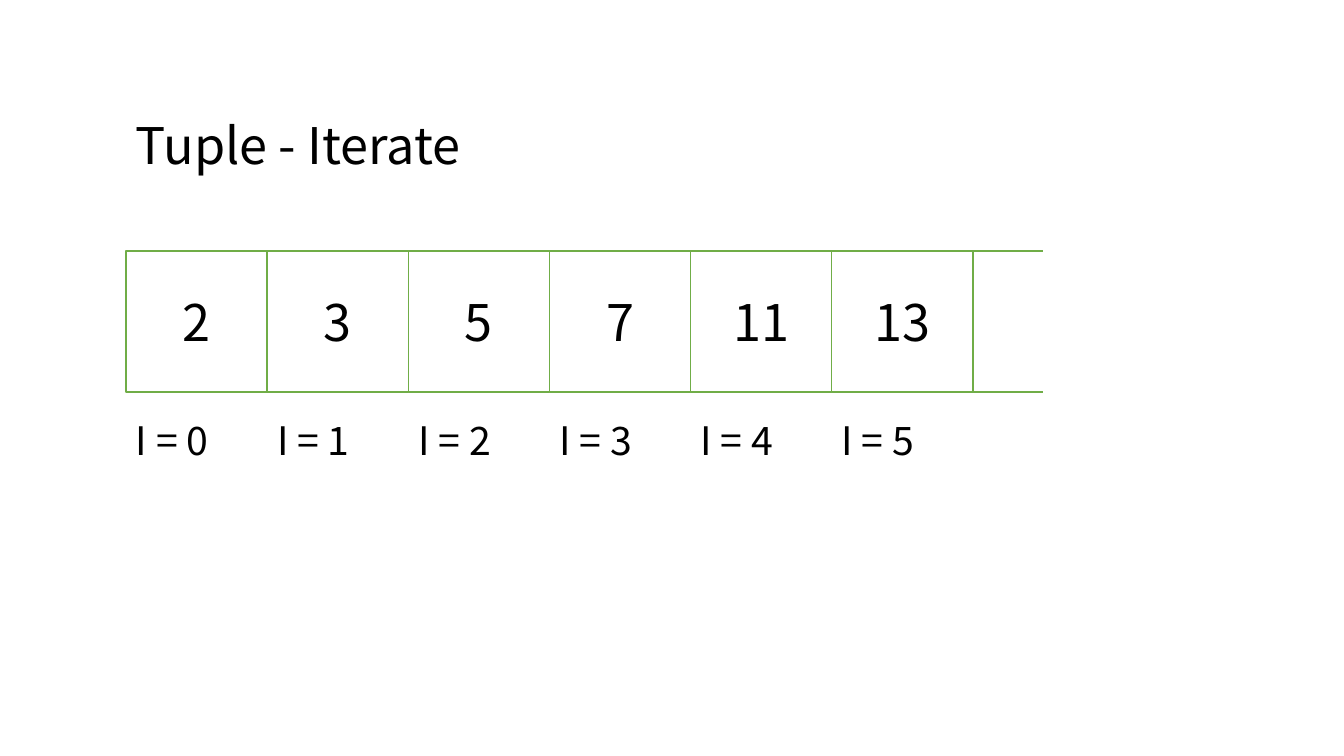
import pptx
import pptx.util
import pptx.dml.color
import pptx.enum.shapes
import pptx.enum.text
from dataclasses import dataclass

Inches = pptx.util.Inches
Align = pptx.enum.text.PP_ALIGN
Anchor = pptx.enum.text.MSO_ANCHOR


@dataclass(frozen=True)
class Theme:
    font: str = "Noto Sans CJK JP"
    ink: str = "000000"
    paper: str = "FFFFFF"
    border: str = "70AD47"
    large: int = 36
    small: int = 28
    line: int = 1


THEME = Theme()
VALUES = [2, 3, 5, 7, 11, 13]

# Grid: square cells in one row
CELL = 1.4
LEFT = 1.25
ROW_TOP = 2.49
INDEX_TOP = 4.08
LARGE_HEIGHT = 0.71
SMALL_HEIGHT = 0.57


def color(code):
    return pptx.dml.color.RGBColor.from_string(code)


def column(number):
    return LEFT + number * CELL


def add_box(page, left, top, width, height, border):
    box = page.shapes.add_shape(
        pptx.enum.shapes.MSO_SHAPE.RECTANGLE,
        *map(Inches, (left, top, width, height)))
    box.shadow.inherit = False
    box.fill.solid()
    box.fill.fore_color.rgb = color(THEME.paper)
    box.line.color.rgb = color(border)
    box.line.width = pptx.util.Pt(THEME.line)


def add_text(page, text, left, top, width, height, size,
             align=Align.LEFT, anchor=Anchor.TOP):
    box = page.shapes.add_textbox(*map(Inches, (left, top, width, height)))
    frame_format = {
        "word_wrap": True,
        "auto_size": pptx.enum.text.MSO_AUTO_SIZE.SHAPE_TO_FIT_TEXT,
        "vertical_anchor": anchor,
    }
    for name, value in frame_format.items():
        setattr(box.text_frame, name, value)
    para = box.text_frame.paragraphs[0]
    para.alignment = align
    span = para.add_run()
    span.text = text
    font_format = {"name": THEME.font, "size": pptx.util.Pt(size)}
    for name, value in font_format.items():
        setattr(span.font, name, value)
    span.font.color.rgb = color(THEME.ink)


def add_cells(page, count):
    for number in range(count):
        add_box(page, column(number), ROW_TOP, CELL, CELL, THEME.border)
    # White block leaves the last cell open on its right
    add_box(page, column(count - 0.5), 2.23, CELL, 1.5 * CELL, THEME.paper)


def add_values(page, values):
    top = ROW_TOP + (CELL - LARGE_HEIGHT) / 2
    for number, value in enumerate(values):
        add_text(page, str(value), column(number), top, CELL, LARGE_HEIGHT,
                 THEME.large, Align.CENTER, Anchor.MIDDLE)


def add_indices(page, count):
    for number in range(count):
        add_text(page, f"I = {number}", column(number), INDEX_TOP, CELL,
                 SMALL_HEIGHT, THEME.small)


def main():
    deck = pptx.Presentation()
    deck.slide_width = Inches(13.33)
    deck.slide_height = Inches(7.5)
    page = deck.slides.add_slide(deck.slide_layouts[6])

    # Row of cells with an open end
    add_cells(page, len(VALUES) + 1)

    # Title
    add_text(page, "Tuple - Iterate", LEFT, 1.08, 2.8 * CELL, LARGE_HEIGHT,
             THEME.large)

    # Values inside the cells, indices below them
    add_values(page, VALUES)
    add_indices(page, len(VALUES))

    deck.save("out.pptx")


if __name__ == "__main__":
    main()
